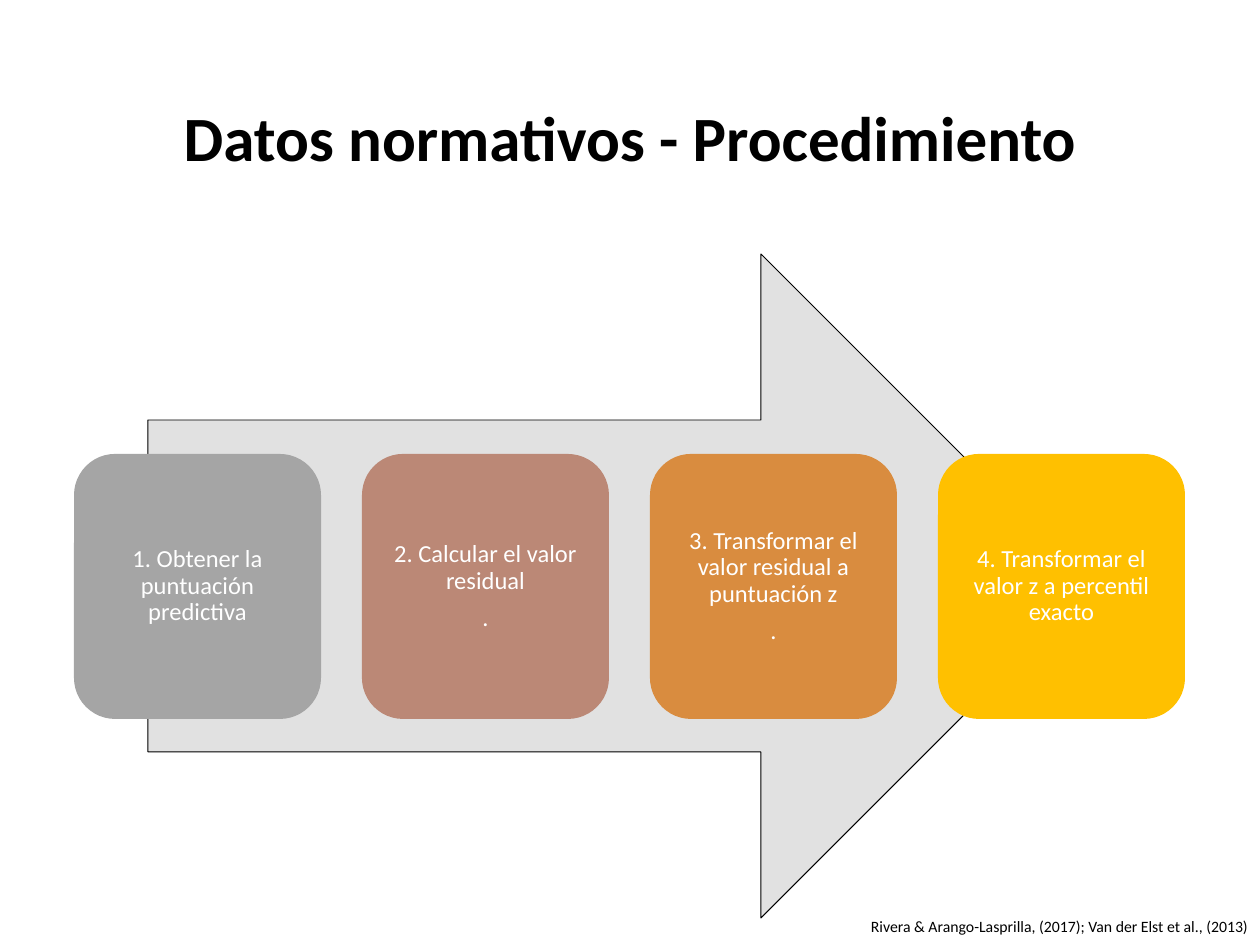
import pptx
import pptx.util
import pptx.dml.color
import pptx.enum.shapes
import pptx.enum.text

PX = 914400 / 126
COLORS = {
    "text": "000000",
    "label": "FFFFFF",
    "arrow": "E1E1E1",
    "step1": "A5A5A5",
    "step2": "BB8876",
    "step3": "D98C3F",
    "step4": "FFC000",
}
STEPS = [
    ["1. Obtener la puntuación predictiva"],
    ["2. Calcular el valor residual", "."],
    ["3. Transformar el valor residual a puntuación z", "."],
    ["4. Transformar el valor z a percentil exacto"],
]
SHAPE = pptx.enum.shapes.MSO_SHAPE
ALIGN = pptx.enum.text.PP_ALIGN
ANCHOR = pptx.enum.text.MSO_ANCHOR


def px(*values):
    return [pptx.util.Emu(round(v * PX)) for v in values]


def format_text(p, size, color, align, bold=False):
    p.alignment = align
    for r in p.runs:
        r.font.name = "Calibri"
        r.font.size = pptx.util.Pt(size)
        r.font.bold = bold
        r.font.color.rgb = pptx.dml.color.RGBColor.from_string(COLORS[color])


prs = pptx.Presentation()
prs.slide_width, prs.slide_height = px(1260, 945)
s = prs.slides.add_slide(prs.slide_layouts[5])

title = s.shapes.title
title.left, title.top, title.width, title.height = px(87, 50, 1086, 183)
tf = title.text_frame
tf.text = "Datos normativos - Procedimiento"
tf.vertical_anchor = ANCHOR.MIDDLE
tf.paragraphs[0].line_spacing = 0.9
format_text(tf.paragraphs[0], 36, "text", ALIGN.CENTER, bold=True)

arrow = s.shapes.add_shape(SHAPE.RIGHT_ARROW, *px(148, 254, 945, 664))
arrow.shadow.inherit = False
arrow.fill.solid()
arrow.fill.fore_color.rgb = pptx.dml.color.RGBColor.from_string(COLORS["arrow"])
arrow.line.color.rgb = pptx.dml.color.RGBColor.from_string(COLORS["text"])
arrow.line.width = pptx.util.Pt(0.5)

for i, lines in enumerate(STEPS):
    sp = s.shapes.add_shape(SHAPE.ROUNDED_RECTANGLE, *px(74 + 288 * i, 454, 247, 265))
    sp.shadow.inherit = False
    sp.fill.solid()
    sp.fill.fore_color.rgb = pptx.dml.color.RGBColor.from_string(COLORS[f"step{i + 1}"])
    sp.line.fill.background()
    tf = sp.text_frame
    tf.word_wrap = True
    tf.vertical_anchor = ANCHOR.MIDDLE
    tf.margin_left, tf.margin_top, tf.margin_right, tf.margin_bottom = px(8, 8, 8, 8)
    tf.text = "\n".join(lines)
    for p in tf.paragraphs:
        p.line_spacing = 0.9
        p.space_after = pptx.util.Pt(6)
        format_text(p, 14, "label", ALIGN.CENTER)

source = s.shapes.add_textbox(*px(520, 911, 740, 32))
tf = source.text_frame
tf.word_wrap = True
tf.text = "Rivera & Arango-Lasprilla, (2017); Van der Elst et al., (2013)"
format_text(tf.paragraphs[0], 9, "text", ALIGN.RIGHT)

prs.save("out.pptx")
